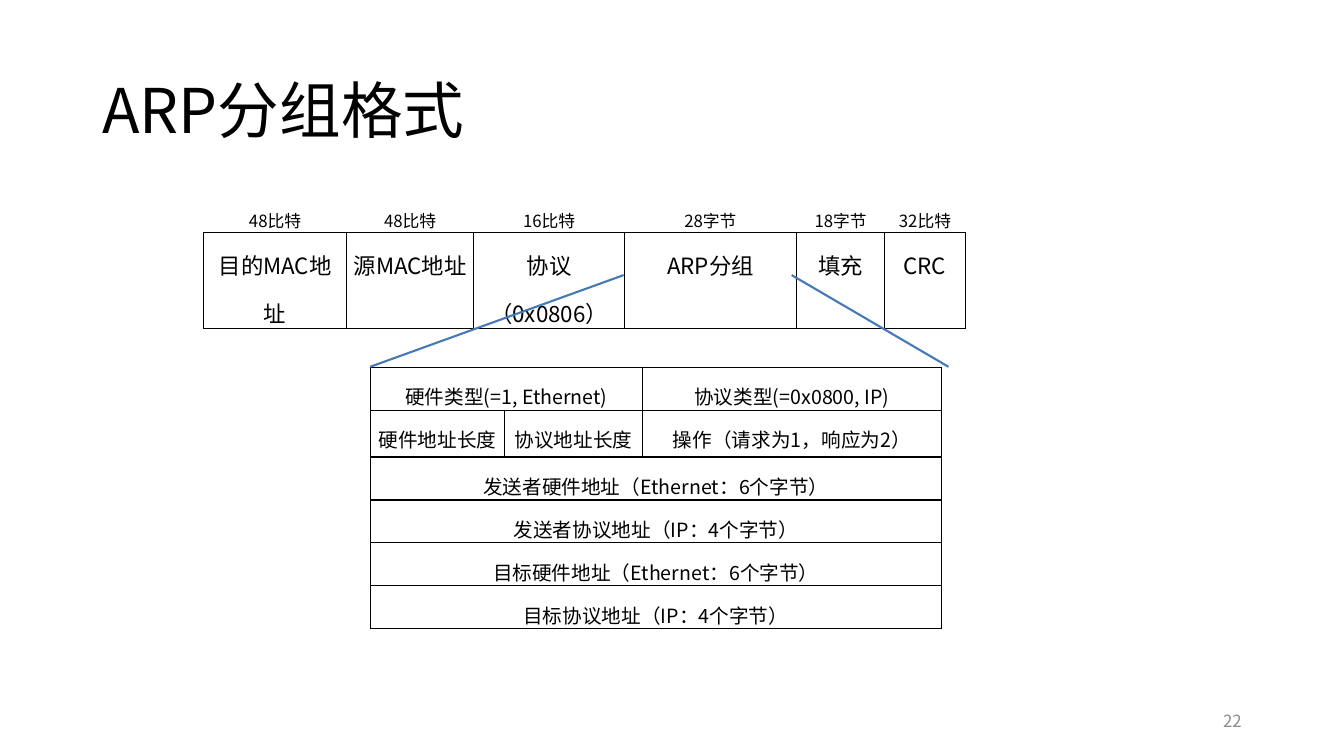
from lxml import etree
from pptx import Presentation
from pptx.dml.color import RGBColor
from pptx.enum.shapes import MSO_CONNECTOR
from pptx.enum.text import MSO_ANCHOR, PP_ALIGN
from pptx.oxml import parse_xml
from pptx.oxml.ns import nsdecls, qn
from pptx.util import Pt

FONT = "Noto Sans CJK SC"
COLORS = {"text": "000000", "border": "000000", "number": "8C8C8C", "callout": "4579B8"}


def write(frame, text, size, color, align, spacing):
    paragraph = frame.paragraphs[0]
    paragraph.alignment = align
    paragraph.line_spacing = spacing
    run = paragraph.add_run()
    run.text = text
    run.font.size = Pt(size)
    run.font.name = FONT
    run.font.color.rgb = RGBColor.from_string(COLORS[color])
    east_asian = etree.SubElement(run._r.get_or_add_rPr(), qn("a:ea"))
    east_asian.set("typeface", FONT)


def style_cell(cell, sides):
    cell.margin_left = cell.margin_right = Pt(5)
    cell.margin_top = cell.margin_bottom = 0
    cell.fill.background()
    properties = cell._tc.get_or_add_tcPr()
    for index, side in enumerate(sides):
        properties.insert(index, parse_xml(
            f'<a:ln{side} {nsdecls("a")} w="12700"><a:solidFill>'
            f'<a:srgbClr val="{COLORS["border"]}"/></a:solidFill></a:ln{side}>'))


prs = Presentation()
prs.slide_width, prs.slide_height = Pt(960), Pt(540)
slide = prs.slides.add_slide(prs.slide_layouts[6])

labels = [
    ("ARP分组格式", 66, 29, 828, 104, 44, "text", PP_ALIGN.LEFT, 0.9),
    ("22", 678, 500.5, 216, 28.8, 12, "number", PP_ALIGN.RIGHT, 1.0),
]
for text, left, top, width, height, size, color, align, spacing in labels:
    frame = slide.shapes.add_textbox(Pt(left), Pt(top), Pt(width), Pt(height)).text_frame
    frame.word_wrap = True
    frame.vertical_anchor = MSO_ANCHOR.MIDDLE
    write(frame, text, size, color, align, spacing)

frame_rows = [
    ["48比特", "48比特", "16比特", "28字节", "18字节", "32比特"],
    ["目的MAC地址", "源MAC地址", "协议（0x0806）", "ARP分组", "填充", "CRC"],
]
packet_rows = [
    ["硬件类型(=1, Ethernet)", None, "协议类型(=0x0800, IP)"],
    ["硬件地址长度", "协议地址长度", "操作（请求为1，响应为2）"],
    ["发送者硬件地址（Ethernet：6个字节）", None, None],
    ["发送者协议地址（IP：4个字节）", None, None],
    ["目标硬件地址（Ethernet：6个字节）", None, None],
    ["目标协议地址（IP：4个字节）", None, None],
]
ALL_SIDES = "LRTB"
tables = [
    (frame_rows, 145.5, 139.8, [102, 91, 107.5, 123, 63, 57.5], [26, 69],
     [12, 16], ["B", ALL_SIDES]),
    (packet_rows, 264.5, 262.3, [96, 98.5, 213.5], [30.7, 33.4] + [30.7] * 4,
     [14] * 6, [ALL_SIDES] * 6),
]
for rows, left, top, widths, heights, sizes, borders in tables:
    table = slide.shapes.add_table(len(rows), len(widths), Pt(left), Pt(top),
                                   Pt(sum(widths)), Pt(sum(heights))).table
    table.first_row = table.horz_banding = False
    for column, width in zip(table.columns, widths):
        column.width = Pt(width)
    for r, texts in enumerate(rows):
        table.rows[r].height = Pt(heights[r])
        for c, text in enumerate(texts):
            cell = table.cell(r, c)
            style_cell(cell, borders[r])
            if text is None:
                continue
            write(cell.text_frame, text, sizes[r], "text", PP_ALIGN.CENTER, 1.5)
            last = c
            while last + 1 < len(texts) and texts[last + 1] is None:
                last += 1
            if last > c:
                cell.merge(table.cell(r, last))

for start, end in [(445.5, 264.5), (565.5, 677.5)]:
    callout = slide.shapes.add_connector(MSO_CONNECTOR.STRAIGHT,
                                         Pt(start), Pt(196.5), Pt(end), Pt(262))
    callout.line.color.rgb = RGBColor.from_string(COLORS["callout"])
    callout.line.width = Pt(1.5)
    etree.SubElement(callout._element.spPr, qn("a:effectLst"))

prs.save("out.pptx")
